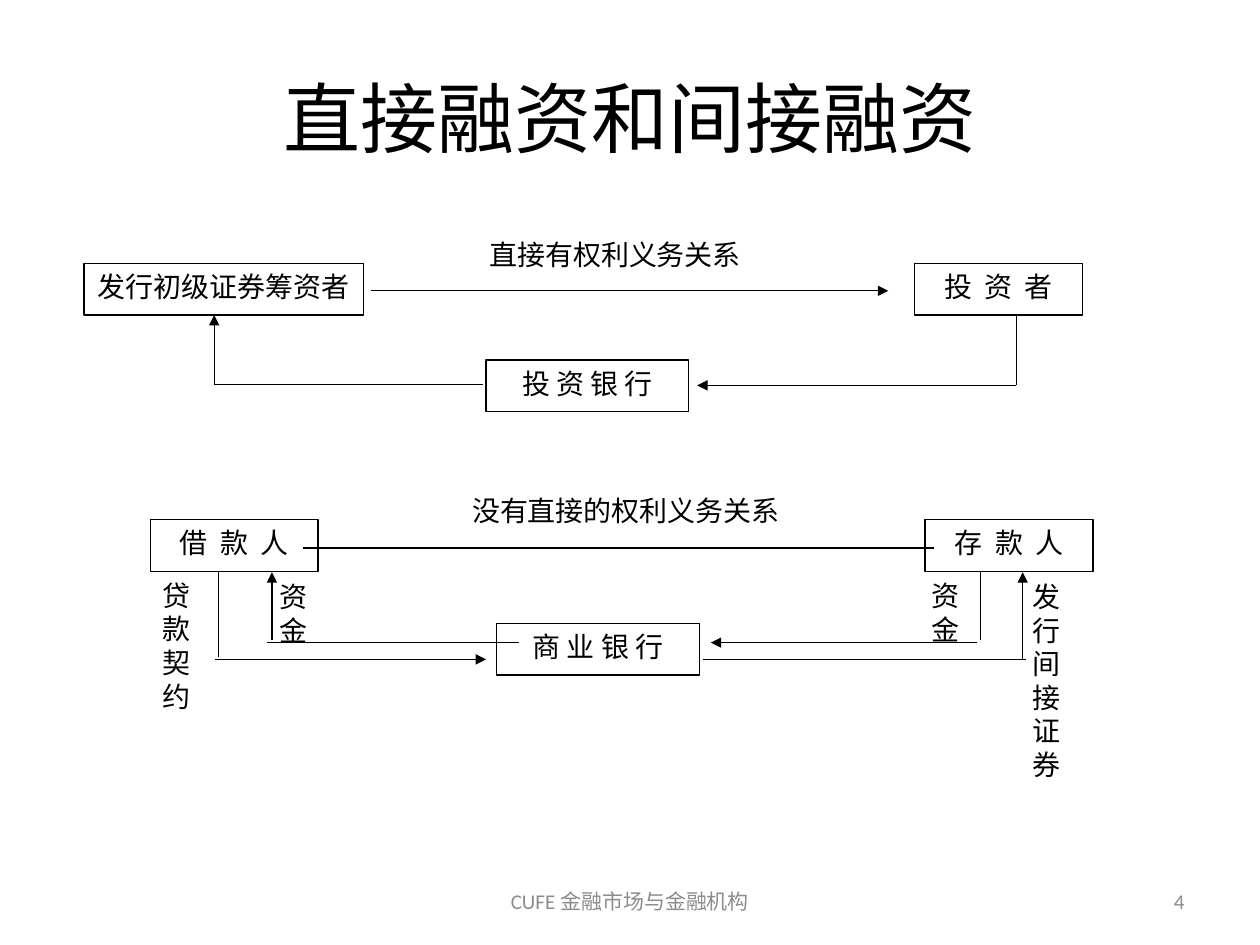
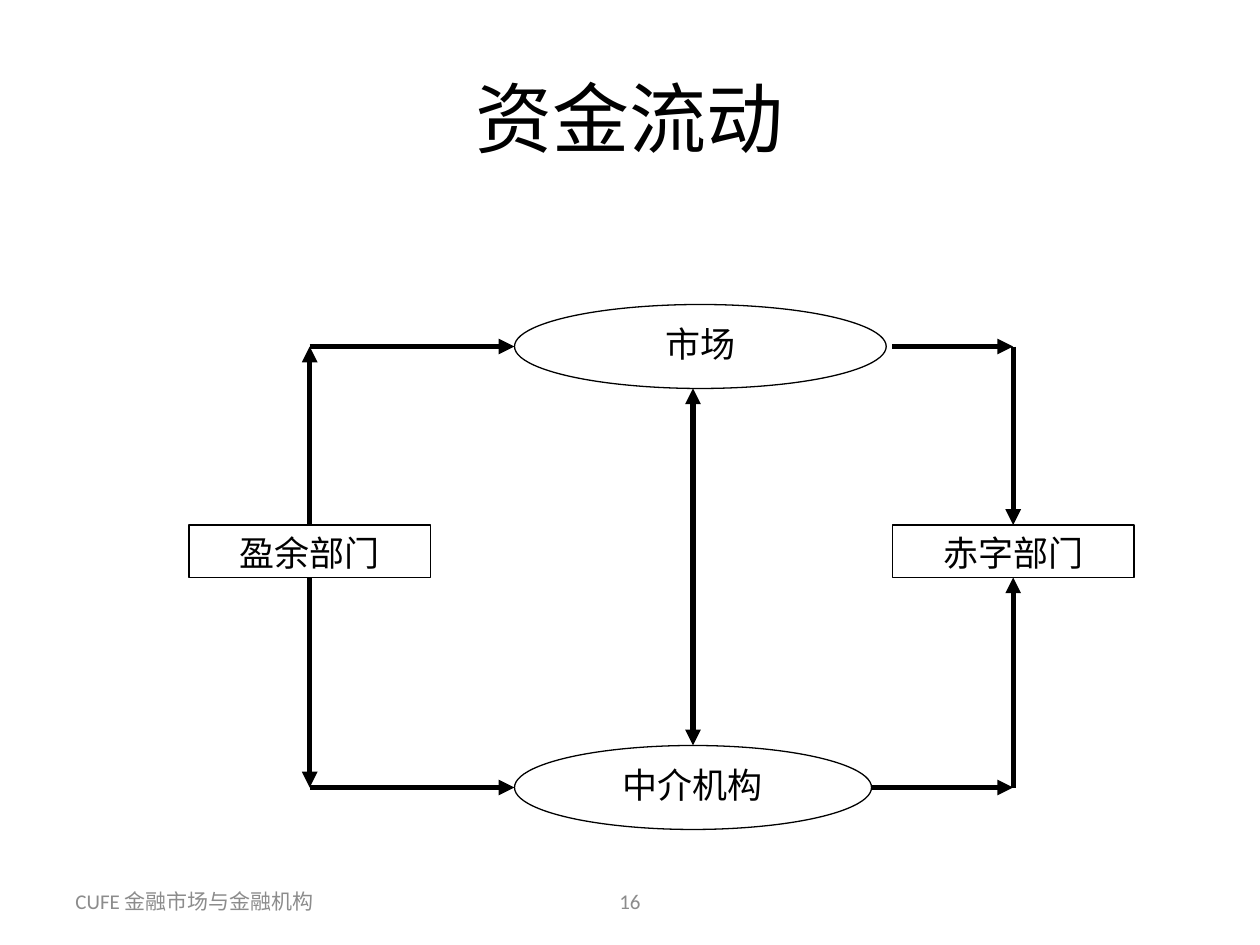
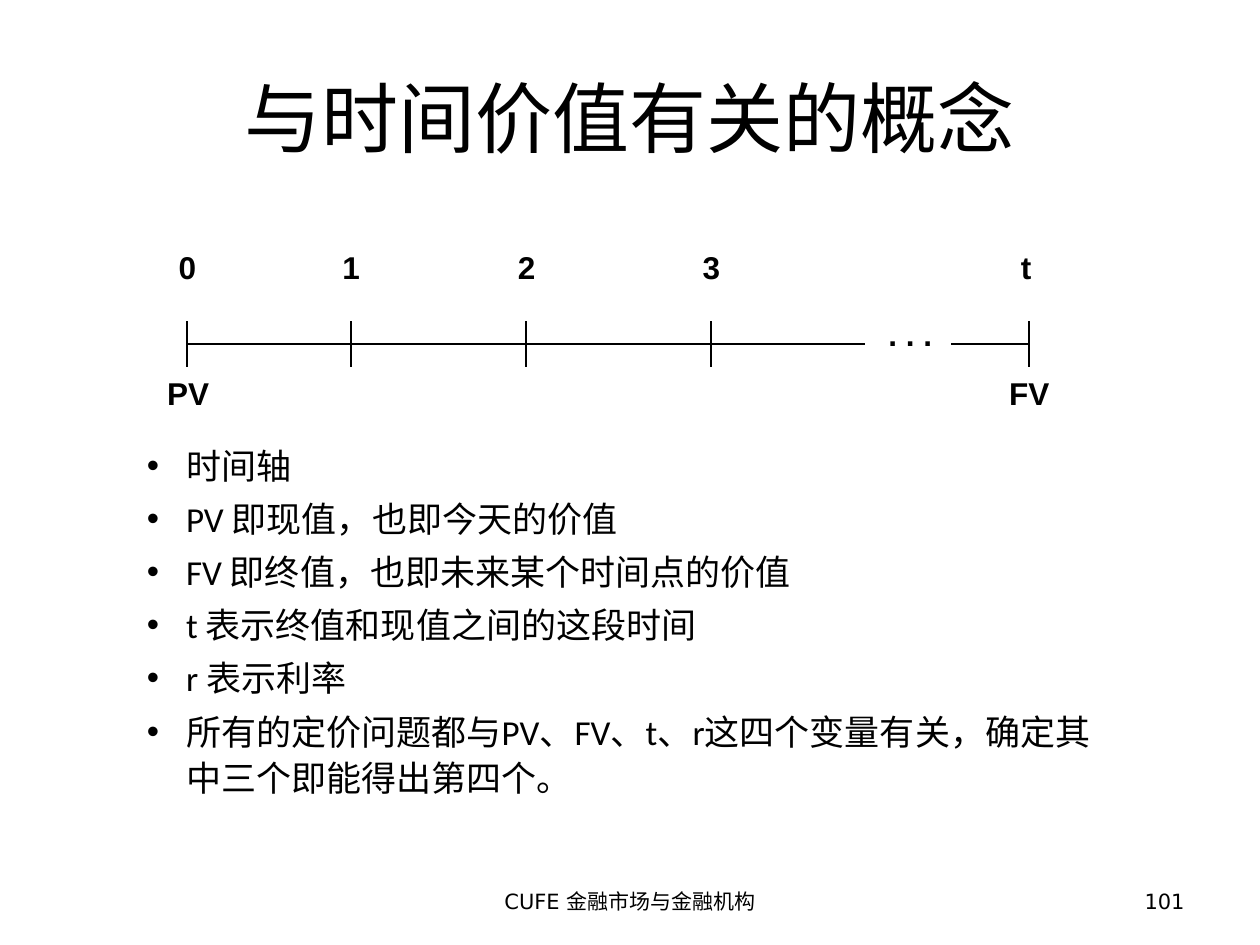
from dataclasses import dataclass

from lxml import etree
from pptx import Presentation
from pptx.dml.color import RGBColor
from pptx.enum.shapes import MSO_CONNECTOR, MSO_SHAPE
from pptx.enum.text import MSO_ANCHOR, PP_ALIGN
from pptx.oxml.ns import qn
from pptx.util import Inches, Pt

LEFT, CENTER, RIGHT = PP_ALIGN.LEFT, PP_ALIGN.CENTER, PP_ALIGN.RIGHT
JUSTIFY = PP_ALIGN.JUSTIFY
TOP, MIDDLE = MSO_ANCHOR.TOP, MSO_ANCHOR.MIDDLE
RECT, OVAL = MSO_SHAPE.RECTANGLE, MSO_SHAPE.OVAL
STRAIGHT = MSO_CONNECTOR.STRAIGHT
UP, DOWN = 0, 2

WIDTH, HEIGHT = Inches(10), Inches(7.5)
COLS, ROWS = 120, 90
COLORS = {"ink": "000000", "paper": "FFFFFF", "muted": "8C8C8C"}

FONTS = {
    "title": {"name": "Calibri", "size": Pt(44)},
    "body": {"name": "Calibri", "size": Pt(20)},
    "foot": {"name": "Calibri", "size": Pt(12)},
    "plain": {"name": "DejaVu Sans", "size": Pt(12)},
    "node": {"name": "Times New Roman", "size": Pt(16)},
    "large": {"name": "Times New Roman", "size": Pt(20)},
    "axis": {"name": "Arial", "size": Pt(18), "bold": True},
}
FOOTER = "CUFE 金融市场与金融机构"
POINTS = [
    "时间轴",
    "PV 即现值，也即今天的价值",
    "FV 即终值，也即未来某个时间点的价值",
    "t 表示终值和现值之间的这段时间",
    "r 表示利率",
    "所有的定价问题都与PV、FV、t、r这四个变量有关，确定其中三个即能得出第四个。",
]


@dataclass
class Box:
    x: float
    y: float
    w: float
    h: float

    def sub(self, x, y, w, h):
        return Box(self.x + x, self.y + y, w, h)

    def spot(self, x, y):
        return across(self.x + x), down(self.y + y)

    def frame(self):
        return across(self.x), down(self.y), across(self.w), down(self.h)


def across(cols):
    return round(WIDTH * cols / COLS)


def down(rows):
    return round(HEIGHT * rows / ROWS)


def paint(name):
    return RGBColor.from_string(COLORS[name])


def style(font, kind, color="ink"):
    for key, value in FONTS[kind].items():
        setattr(font, key, value)
    font.color.rgb = paint(color)


def write(shape, text, kind, align=CENTER, anchor=TOP, color="ink", track=0):
    frame = shape.text_frame
    frame.word_wrap = True
    frame.vertical_anchor = anchor
    para = frame.paragraphs[0]
    para.alignment = align
    run = para.add_run()
    run.text = text
    style(run.font, kind, color)
    if track:
        run.font._element.set("spc", str(track))


def label(slide, box, text, kind, **opts):
    shape = slide.shapes.add_textbox(*box.frame())
    write(shape, text, kind, **opts)
    return shape


def node(slide, box, text, kind="node", form=RECT, fill=None, track=0):
    shape = slide.shapes.add_shape(form, *box.frame())
    shape.shadow.inherit = False
    if fill:
        shape.fill.solid()
        shape.fill.fore_color.rgb = paint(fill)
    else:
        shape.fill.background()
    shape.line.color.rgb = paint("ink")
    shape.line.width = Pt(0.75)
    write(shape, text, kind, track=track)
    return shape


def link(slide, box, start, end, width=0.75, tips=()):
    line = slide.shapes.add_connector(STRAIGHT, *box.spot(*start), *box.spot(*end))
    line.line.color.rgb = paint("ink")
    line.line.width = Pt(width)
    props = line._element.spPr
    for tip in tips:
        etree.SubElement(props.find(qn("a:ln")), qn(f"a:{tip}"), type="triangle")
    etree.SubElement(props, qn("a:effectLst"))
    return line


def start_page(deck, layout, title):
    slide = deck.slides.add_slide(deck.slide_layouts[layout])
    head = slide.shapes.title
    head.left, head.top, head.width, head.height = Box(6, 3.6, 108, 15).frame()
    write(head, title, "title", anchor=MIDDLE)
    return slide


def footer(slide, box, number, kind="foot", color="muted", shifted=False):
    left = box.sub(0, 0, 28, box.h)
    mid = box.sub(35, 0, 38, box.h)
    right = box.sub(80, 0, 28, box.h)
    if shifted:
        parts = (left, FOOTER, LEFT), (mid, number, CENTER)
    else:
        parts = (mid, FOOTER, CENTER), (right, number, RIGHT)
    for part, text, align in parts:
        label(slide, part, text, kind, align=align, anchor=MIDDLE, color=color)


def direct(slide, box):
    tall = 4.9
    label(slide, box.sub(37.3, 0, 26.6, tall), "直接有权利义务关系", "node")
    node(slide, box.sub(0, 3.1, 26.6, tall), "发行初级证券筹资者")
    node(slide, box.sub(79.1, 3.1, 16, tall), "投 资 者", track=180)
    node(slide, box.sub(38.3, 12.3, 19.3, tall), "投 资 银 行")
    tip = ("tailEnd",)
    for start, end, tips in (
        ((27.3, 5.7), (76.6, 5.7), tip),
        ((88.8, 8.1), (88.8, 14.7), ()),
        ((88.8, 14.7), (58.4, 14.7), tip),
        ((38, 14.6), (12.4, 14.6), ()),
        ((12.4, 14.6), (12.4, 8), tip),
    ):
        link(slide, box, start, end, tips=tips)


def indirect(slide, box):
    tall = 4.9
    label(slide, box.sub(28.9, 0, 32.8, tall), "没有直接的权利义务关系", "node")
    for x, text in ((0, "借 款 人"), (73.8, "存 款 人")):
        node(slide, box.sub(x, 3.1, 16, tall), text, track=180)
    node(slide, box.sub(33, 13, 19.3, tall), "商 业 银 行")
    for x, y, w, h, text in (
        (0, 8.1, 6.5, 14.6, "贷款契约"),
        (11.1, 8.2, 7.6, 8.3, "资金"),
        (73.2, 8.1, 7.6, 8.3, "资金"),
        (82.9, 8.2, 6.5, 21.4, "发行间接证券"),
    ):
        label(slide, box.sub(x, y, w, h), text, "node", align=JUSTIFY)
    base, upper, lower = 8.1, 14.8, 16.4
    tip = ("tailEnd",)
    for start, end, tips in (
        ((14.6, 5.8), (74.7, 5.8), ()),
        ((79.1, base), (79.1, 14.6), ()),
        ((78.7, upper), (53.4, upper), tip),
        ((35.1, upper), (11.1, upper), ()),
        ((11.6, 14.6), (11.6, base), tip),
        ((6.5, base), (6.5, 16.2), ()),
        ((6.2, lower), (32, lower), tip),
        ((52.7, lower), (83.4, lower), ()),
        ((83.1, lower), (83.1, base), tip),
    ):
        link(slide, box, start, end, tips=tips)


def cycle(slide, box):
    def arrow(start, end, tips=("tailEnd",)):
        return link(slide, box, start, end, 3, tips)

    high, low = 4, 46
    west, east = 11.5, 78.5
    for y, w, text in ((0, 35.4, "市场"), (42, 34, "中介机构")):
        node(slide, box.sub(31, y, w, 8), text, "large", OVAL, "paper")
    source, sink = [
        node(slide, box.sub(x, 21, 23, 5), text, "large", fill="paper")
        for x, text in ((0, "盈余部门"), (67, "赤字部门"))
    ]
    for y, edge, side, leave in ((high, 21, UP, 67), (low, 26, DOWN, 65)):
        arrow((west, edge), (west, y)).begin_connect(source, side)
        arrow((west, y), (31, y))
        arrow((leave, y), (east, y))
        arrow((east, y), (east, edge)).end_connect(sink, side)
    arrow((48, 8), (48, 42), ("headEnd", "tailEnd"))


def timeline(slide, box):
    mid = 9.8
    ticks = {"0": 3.2, "1": 18.8, "2": 35.5, "3": 53.1, "t": 83.4}
    for start, end in ((3.2, 67.8), (76, 83.4)):
        link(slide, box, (start, mid), (end, mid), 1)
    marks = [(68.7, 6.4, 8.3, ". . ."), (0, 12, 7.3, "PV"), (80.2, 12, 8.3, "FV")]
    for text, x in ticks.items():
        link(slide, box, (x, 7.6), (x, 12), 1)
        marks.append((x - 2.1, 0, 4.2, text))
    for x, y, w, text in marks:
        shape = label(slide, box.sub(x, y, w, 4.9), text, "axis", align=LEFT)
        shape.text_frame.margin_left = shape.text_frame.margin_right = Inches(0.11)


def listing(slide, box):
    body = slide.placeholders[1]
    body.left, body.top, body.width, body.height = box.frame()
    frame = body.text_frame
    for i, text in enumerate(POINTS):
        para = frame.add_paragraph() if i else frame.paragraphs[0]
        props = para._p.get_or_add_pPr()
        props.set("marL", str(Inches(0.31)))
        props.set("indent", str(-Inches(0.31)))
        para.line_spacing = 1.1
        para.space_before = Pt(4 if i else 0)
        run = para.add_run()
        run.text = text
        style(run.font, "body")


def main():
    deck = Presentation()
    deck.slide_width, deck.slide_height = WIDTH, HEIGHT
    base = Box(6, 83.4, 108, 4.8)

    slide = start_page(deck, 5, "直接融资和间接融资")
    direct(slide, Box(8, 22, 95, 18))
    indirect(slide, Box(14.3, 46.4, 90, 30))
    footer(slide, base, "4")

    slide = start_page(deck, 5, "资金流动")
    cycle(slide, Box(18, 29, 90, 50))
    footer(slide, base, "16", shifted=True)

    slide = start_page(deck, 1, "与时间价值有关的概念")
    timeline(slide, Box(14.6, 23, 88.5, 17))
    listing(slide, Box(12.8, 41.3, 95.3, 39.7))
    footer(slide, base, "101", "plain", "ink")

    deck.save("out.pptx")


if __name__ == "__main__":
    main()
